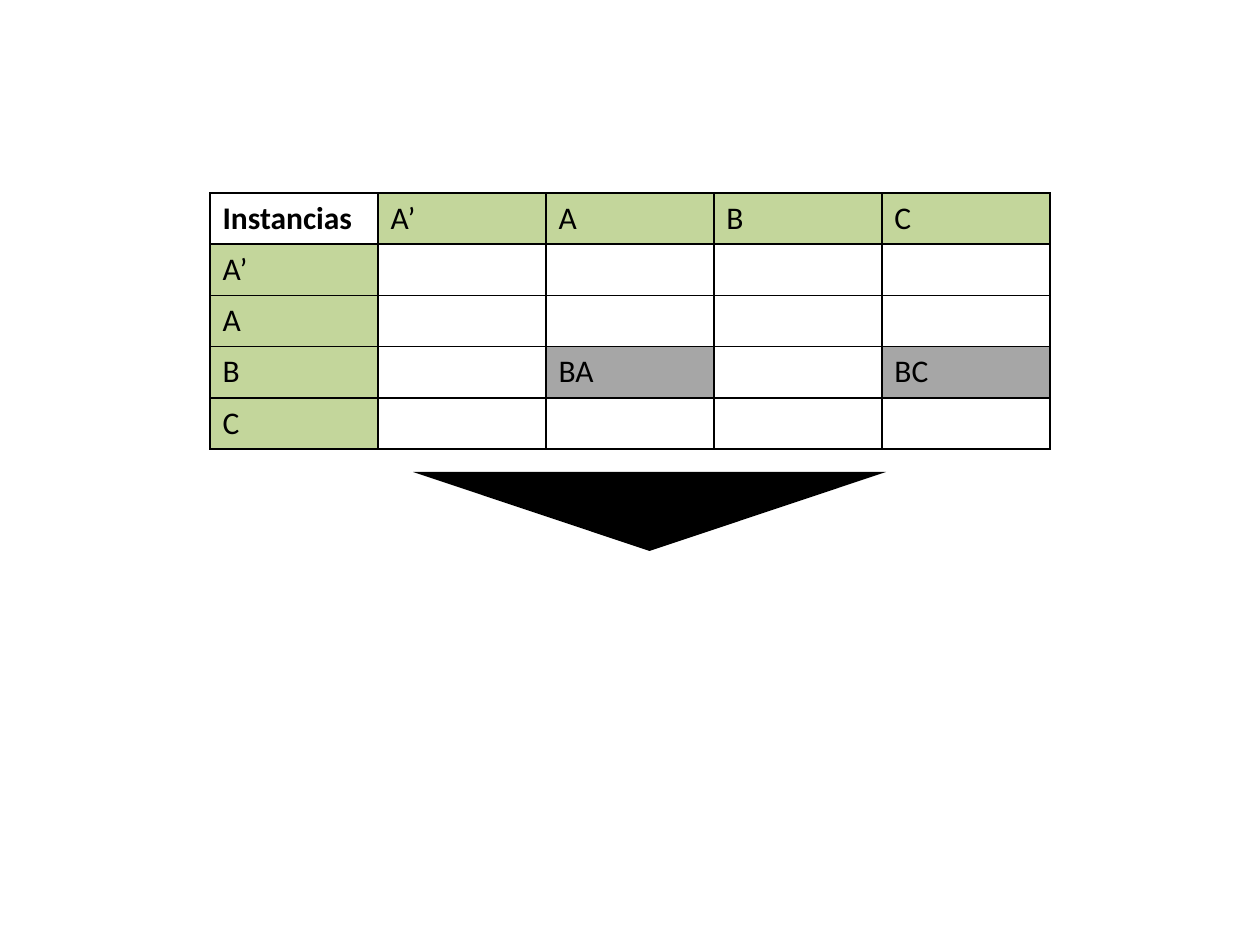
from lxml.etree import SubElement
from pptx import Presentation
from pptx.dml.color import RGBColor
from pptx.enum.shapes import MSO_SHAPE
from pptx.oxml.ns import qn
from pptx.util import Emu, Pt

PX_PER_INCH = 126
BLACK, GREEN, GREY = "000000", "C3D69B", "A6A6A6"
INSTANCES = ["A’", "A", "B", "C"]
MARKED_PAIRS = {("B", "A"), ("B", "C")}


def px(length):
    """Turn pixels into EMU."""
    return Emu(round(length * 914400 / PX_PER_INCH))


def paint(fill, colour):
    """Fill with a hex colour, or with nothing."""
    if colour:
        fill.solid()
        fill.fore_color.rgb = RGBColor.from_string(colour)
    else:
        fill.background()


def add_borders(cell, colour, width):
    """Draw all four borders of a table cell."""
    properties = cell._tc.get_or_add_tcPr()
    for side in ("a:lnL", "a:lnR", "a:lnT", "a:lnB"):
        line = SubElement(properties, qn(side), w=str(Pt(width)))
        SubElement(SubElement(line, qn("a:solidFill")), qn("a:srgbClr"), val=colour)


def write_cell(cell, wording, colour, bold):
    """Set the borders, fill and text of a table cell."""
    add_borders(cell, BLACK, 1)
    paint(cell.fill, colour)
    paragraph = cell.text_frame.paragraphs[0]
    paragraph.text = wording
    paragraph.font.size = Pt(18)
    for run in paragraph.runs:
        run.font.name = "Calibri"
        run.font.size = Pt(18)
        run.font.bold = bold
        run.font.color.rgb = RGBColor.from_string(BLACK)


def pair_content(start, end):
    """Return the wording and colour for a pair of instances."""
    return (start + end, GREY) if (start, end) in MARKED_PAIRS else ("", None)


def add_instance_matrix(slide, left, top, width, height):
    """Place the matrix of instance pairs in the given box."""
    size = len(INSTANCES) + 1
    matrix = slide.shapes.add_table(
        size, size, px(left), px(top), px(width), px(height)
    ).table
    matrix.first_row = matrix.horz_banding = False
    headings = [(name, GREEN) for name in INSTANCES]
    rows = [[("Instancias", None)] + headings]
    for start in INSTANCES:
        rows.append([(start, GREEN)] + [pair_content(start, end) for end in INSTANCES])
    for row, contents in enumerate(rows):
        for column, (wording, colour) in enumerate(contents):
            write_cell(matrix.cell(row, column), wording, colour, row == column == 0)


def add_down_pointer(slide, left, top, width, height):
    """Place the downward triangle in the given box."""
    pointer = slide.shapes.add_shape(
        MSO_SHAPE.ISOSCELES_TRIANGLE, px(left), px(top), px(width), px(height)
    )
    pointer.rotation = 180
    pointer.adjustments[0] = 0.5
    pointer.shadow.inherit = False
    paint(pointer.fill, BLACK)
    pointer.line.fill.background()


def main():
    """Build and save the slide."""
    presentation = Presentation()
    presentation.slide_width, presentation.slide_height = px(1260), px(945)
    slide = presentation.slides.add_slide(presentation.slide_layouts[6])
    add_instance_matrix(slide, 210, 193, 840, 256)
    add_down_pointer(slide, 413, 472, 473, 79)
    presentation.save("out.pptx")


if __name__ == "__main__":
    main()
